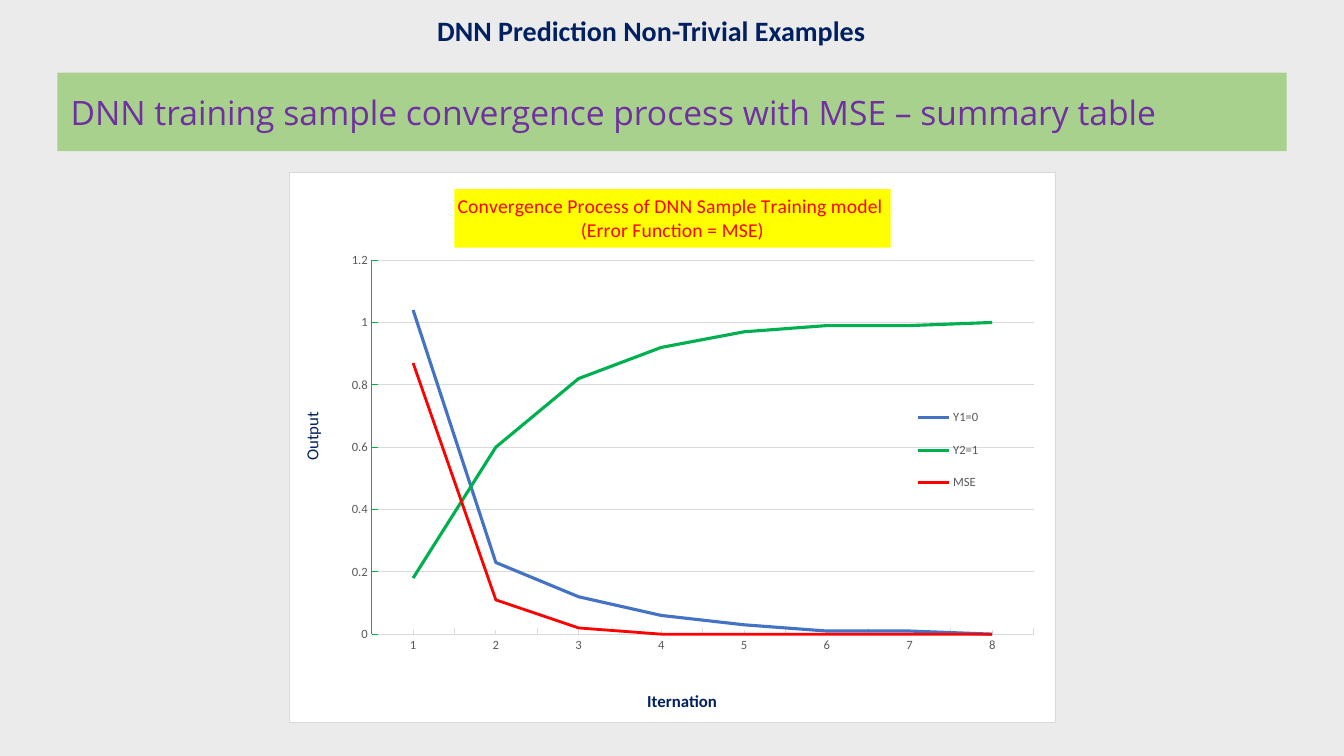
from lxml import etree
from pptx import Presentation
from pptx import util as u
from pptx.chart import data as chart_data
from pptx.dml import color
from pptx.enum import chart as charts, shapes, text
from pptx.oxml import ns, parse_xml

COLORS = {
    "background": "EBEBEB", "banner": "A9D18E", "purple": "7030A0",
    "navy": "002060", "blue": "4472C4", "green": "00B050", "red": "FF0000",
    "yellow": "FFFF00", "white": "FFFFFF", "grid": "D9D9D9",
    "label": "595959", "black": "000000",
}
SERIES = [
    ("Y1=0", (1.04, 0.23, 0.12, 0.06, 0.03, 0.01, 0.01, 0), "blue", 2.25),
    ("Y2=1", (0.18, 0.6, 0.82, 0.92, 0.97, 0.99, 0.99, 1), "green", 2.25),
    ("MSE", (0.87, 0.11, 0.02, 0, 0, 0, 0, 0), "red", 2),
]


def rgb(name):
    return color.RGBColor.from_string(COLORS[name])


def style_font(font, size, color_name, name="Calibri", bold=False):
    font.size = u.Pt(size)
    font.name = name
    font.bold = bold
    font.color.rgb = rgb(color_name)


def style_line(line, color_name, width=0.75):
    line.color.rgb = rgb(color_name)
    line.width = u.Pt(width)


def add_run(paragraph, words, *style, **options):
    run = paragraph.add_run()
    run.text = words
    style_font(run.font, *style, **options)


def prepare_frame(frame, inset=0.13):
    frame.word_wrap = True
    frame.auto_size = text.MSO_AUTO_SIZE.NONE
    frame.vertical_anchor = text.MSO_ANCHOR.TOP
    frame.margin_left = frame.margin_right = u.Inches(inset)
    frame.margin_top = frame.margin_bottom = u.Inches(inset)
    return frame.paragraphs[0]


def set_layout(element, after, x, y, width=None, height=None, inner=False):
    """Give a chart part a fixed place, as fractions of the chart."""
    for old in element.findall(ns.qn("c:layout")):
        element.remove(old)
    layout = etree.Element(ns.qn("c:layout"))
    manual = etree.SubElement(layout, ns.qn("c:manualLayout"))
    settings = [("layoutTarget", "inner" if inner else None),
                ("xMode", "edge"), ("yMode", "edge"),
                ("x", x), ("y", y), ("w", width), ("h", height)]
    for tag, value in settings:
        if value is not None:
            etree.SubElement(manual, ns.qn("c:" + tag)).set("val", str(value))
    if after is None:
        element.insert(0, layout)
    else:
        element.find(ns.qn(after)).addnext(layout)


def add_title(slide, left, top, width, height):
    title = slide.shapes.title
    title.left, title.top = u.Inches(left), u.Inches(top)
    title.width, title.height = u.Inches(width), u.Inches(height)
    paragraph = prepare_frame(title.text_frame)
    paragraph.alignment = text.PP_ALIGN.CENTER
    add_run(paragraph, "DNN Prediction Non-Trivial Examples", 20, "navy", bold=True)


def add_banner(slide, left, top, width, height):
    banner = slide.shapes.add_shape(
        shapes.MSO_SHAPE.RECTANGLE, u.Inches(left), u.Inches(top),
        u.Inches(width), u.Inches(height))
    banner.shadow.inherit = False
    banner.fill.solid()
    banner.fill.fore_color.rgb = rgb("banner")
    banner.line.fill.background()
    paragraph = prepare_frame(banner.text_frame)
    paragraph.alignment = text.PP_ALIGN.LEFT
    paragraph.line_spacing = 1.15
    add_run(paragraph, "DNN training sample convergence process with MSE – summary table",
            24, "purple", name="Open Sans")


def style_axis(axis, words, line_color, x, y, bold=False):
    axis.major_tick_mark = charts.XL_TICK_MARK.INSIDE
    style_font(axis.tick_labels.font, 9, "label")
    style_line(axis.format.line, line_color)
    title = axis.axis_title
    add_run(title.text_frame.paragraphs[0], words, 12, "navy", bold=bold)
    set_layout(title._element, "c:tx", x, y)
    return title


def style_chart_area(chart):
    area = chart._chartSpace
    area.find(ns.qn("c:chart")).addnext(parse_xml(
        f'<c:spPr {ns.nsdecls("c", "a")}>'
        f'<a:solidFill><a:srgbClr val="{COLORS["white"]}"/></a:solidFill>'
        f'<a:ln w="9525"><a:solidFill><a:srgbClr val="{COLORS["grid"]}"/>'
        '</a:solidFill></a:ln></c:spPr>'))
    if area.find(ns.qn("c:roundedCorners")) is None:
        corners = etree.Element(ns.qn("c:roundedCorners"))
        corners.set("val", "0")
        area.find(ns.qn("c:date1904")).addnext(corners)


def add_convergence_chart(slide, left, top, width, height):
    data = chart_data.CategoryChartData()
    data.categories = [str(step) for step in range(1, 9)]
    for name, values, *_ in SERIES:
        data.add_series(name, values)
    chart = slide.shapes.add_chart(
        charts.XL_CHART_TYPE.LINE, u.Inches(left), u.Inches(top),
        u.Inches(width), u.Inches(height), data).chart
    style_font(chart.font, 10, "black")
    style_chart_area(chart)

    # Chart title
    chart.has_title = True
    title = chart.chart_title
    frame = title.text_frame
    add_run(frame.paragraphs[0], "Convergence Process of DNN Sample Training model ", 14, "red")
    add_run(frame.add_paragraph(), "(Error Function = MSE)", 14, "red")
    title.format.fill.solid()
    title.format.fill.fore_color.rgb = rgb("yellow")

    # Plot and series
    plot = chart.plots[0]
    plot.vary_by_categories = False
    set_layout(chart._chartSpace.chart.plotArea, None, 0.107, 0.159, 0.865, 0.681, inner=True)
    for series, (_, _, line_color, line_width) in zip(plot.series, SERIES):
        series.smooth = False
        style_line(series.format.line, line_color, line_width)

    # Axes
    style_axis(chart.category_axis, "Iternation", "grid", 0.463, 0.935, bold=True)
    chart.category_axis.minor_tick_mark = charts.XL_TICK_MARK.INSIDE
    axis = chart.value_axis
    output = style_axis(axis, "Output", "green", 0.01, 0.43)
    body = output.text_frame._txBody.find(ns.qn("a:bodyPr"))
    body.set("rot", "-5400000")
    body.set("vert", "horz")
    axis.minimum_scale, axis.maximum_scale, axis.major_unit = 0, 1.2, 0.2
    axis.tick_labels.number_format = "General"
    axis.tick_labels.number_format_is_linked = False
    axis.has_major_gridlines = True
    style_line(axis.major_gridlines.format.line, "grid")

    # Legend
    chart.has_legend = True
    legend = chart.legend
    legend.position = charts.XL_LEGEND_POSITION.RIGHT
    legend.include_in_layout = False
    style_font(legend.font, 9, "label")
    set_layout(legend._element, "c:legendPos", 0.8, 0.4, 0.12, 0.21)


def main():
    presentation = Presentation()
    presentation.slide_width = u.Inches(13.33)
    presentation.slide_height = u.Inches(7.5)
    slide = presentation.slides.add_slide(presentation.slide_layouts[5])
    slide.background.fill.solid()
    slide.background.fill.fore_color.rgb = rgb("background")
    add_banner(slide, 0.57, 0.72, 12.19, 0.78)
    add_title(slide, 0.11, 0, 12.7, 0.51)
    add_convergence_chart(slide, 2.87, 1.71, 7.6, 5.46)
    presentation.save("out.pptx")


if __name__ == "__main__":
    main()
